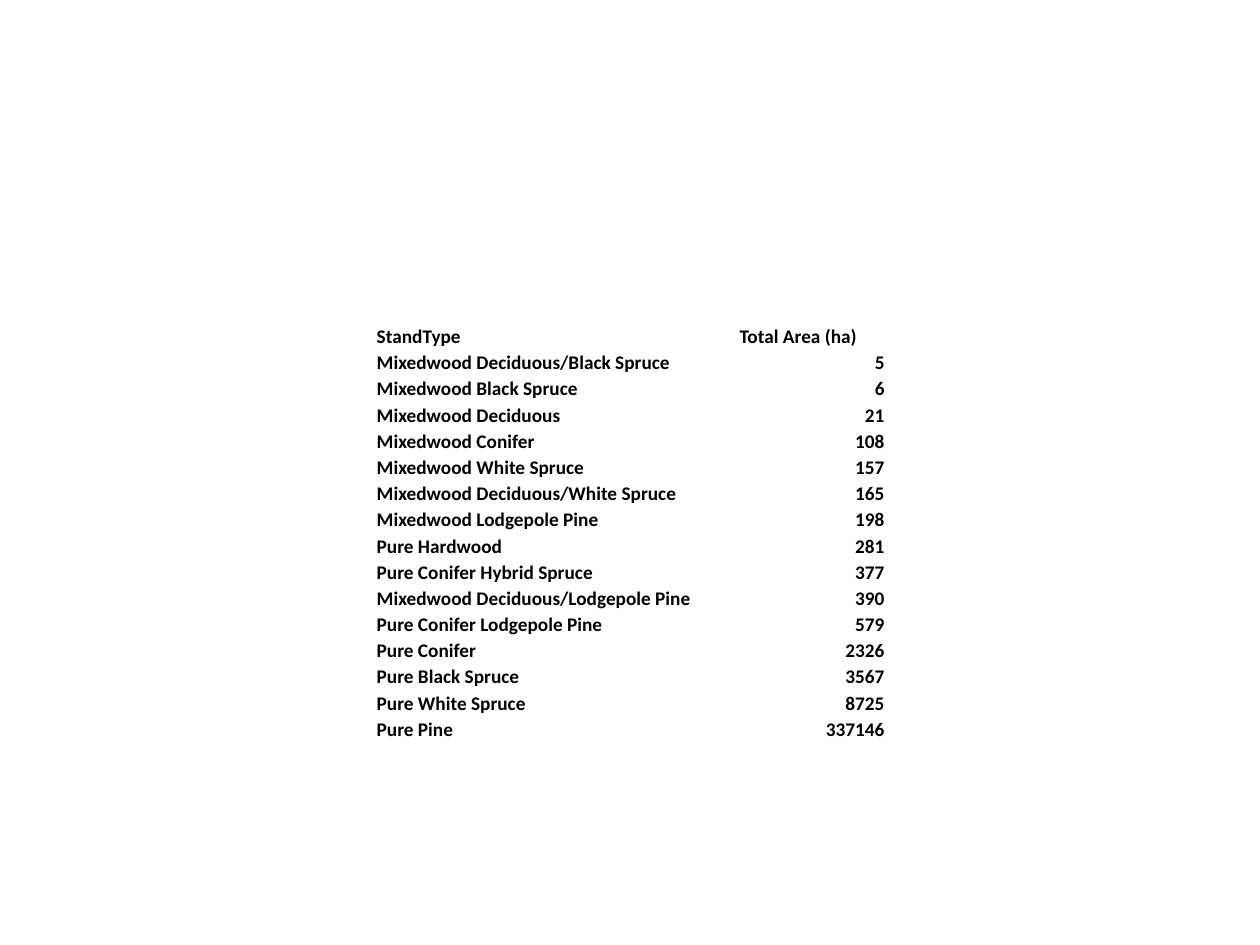
"""Build a slide with a table of total area by forest stand type."""
from typing import NamedTuple

from pptx import Presentation
from pptx.dml.color import RGBColor
from pptx.enum.text import MSO_ANCHOR as Anchor, PP_ALIGN as Align
from pptx.util import Inches, Pt


class Stand(NamedTuple):
    name: str
    area: int


HEADERS = ("StandType", "Total Area (ha)")
STANDS = [
    Stand("Mixedwood Deciduous/Black Spruce", 5),
    Stand("Mixedwood Black Spruce", 6),
    Stand("Mixedwood Deciduous", 21),
    Stand("Mixedwood Conifer", 108),
    Stand("Mixedwood White Spruce", 157),
    Stand("Mixedwood Deciduous/White Spruce", 165),
    Stand("Mixedwood Lodgepole Pine", 198),
    Stand("Pure Hardwood", 281),
    Stand("Pure Conifer Hybrid Spruce", 377),
    Stand("Mixedwood Deciduous/Lodgepole Pine", 390),
    Stand("Pure Conifer Lodgepole Pine", 579),
    Stand("Pure Conifer", 2326),
    Stand("Pure Black Spruce", 3567),
    Stand("Pure White Spruce", 8725),
    Stand("Pure Pine", 337146),
]
COL_WIDTHS = (2.88, 1.17)


def rgb(value: str) -> RGBColor:
    return RGBColor.from_string(value)


def fill_cell(cell, text: str, align: Align) -> None:
    cell.fill.background()
    cell.vertical_anchor = Anchor.BOTTOM
    cell.margin_left = cell.margin_top = cell.margin_right = Inches(0.01)
    cell.margin_bottom = Inches(0)
    cell.text_frame.text = text
    p = cell.text_frame.paragraphs[0]
    p.alignment = align
    font = p.runs[0].font
    font.name, font.size, font.bold = "Calibri", Pt(11), True
    font.color.rgb = rgb("000000")


def add_stand_table(s, stands: list[Stand]) -> None:
    table = s.shapes.add_table(
        len(stands) + 1, len(HEADERS), Inches(2.98), Inches(2.56),
        Inches(sum(COL_WIDTHS)), Inches(3.33)).table
    table.first_row = table.horz_banding = False
    for column, width in zip(table.columns, COL_WIDTHS):
        column.width = Inches(width)
    for col, header in enumerate(HEADERS):
        fill_cell(table.cell(0, col), header, Align.LEFT)
    for row, stand in enumerate(stands, start=1):
        fill_cell(table.cell(row, 0), stand.name, Align.LEFT)
        fill_cell(table.cell(row, 1), str(stand.area), Align.RIGHT)


def main() -> None:
    prs = Presentation()
    prs.slide_width, prs.slide_height = Inches(10), Inches(7.5)
    s = prs.slides.add_slide(prs.slide_layouts[6])
    add_stand_table(s, STANDS)
    prs.save("out.pptx")


if __name__ == "__main__":
    main()
